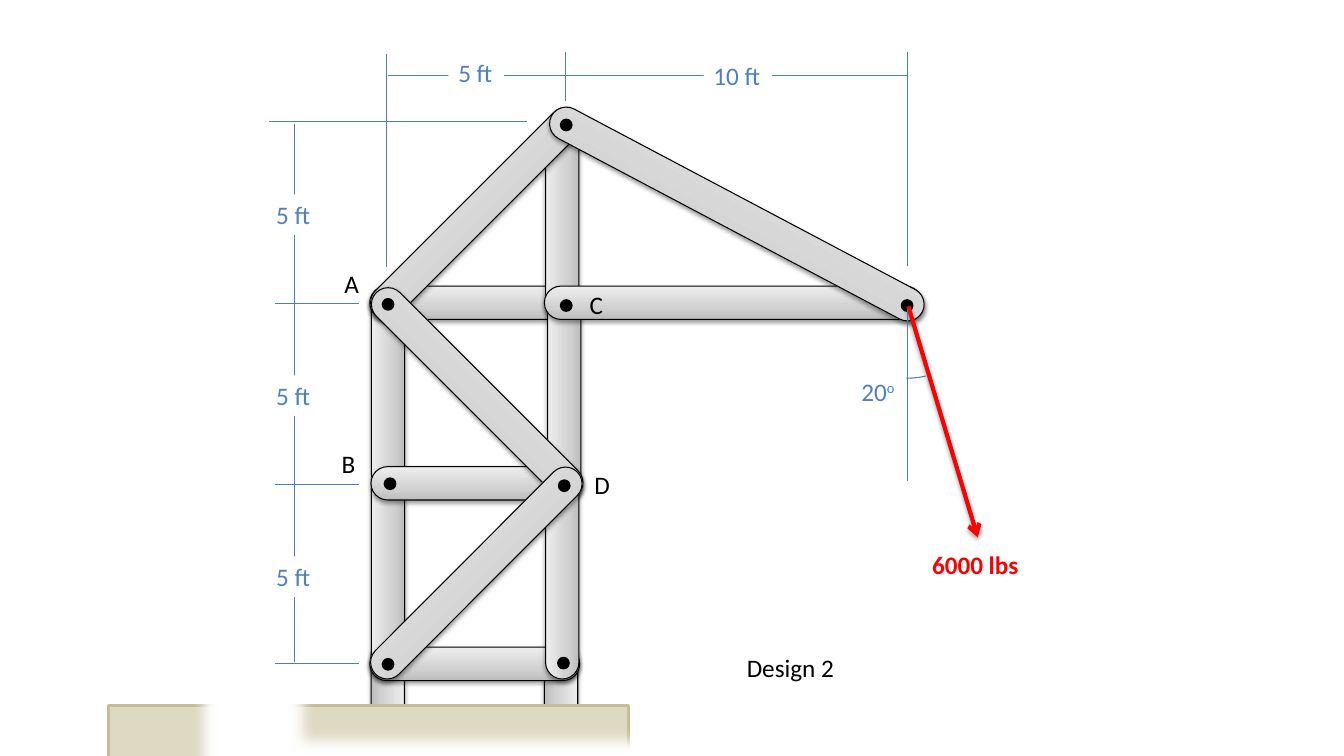
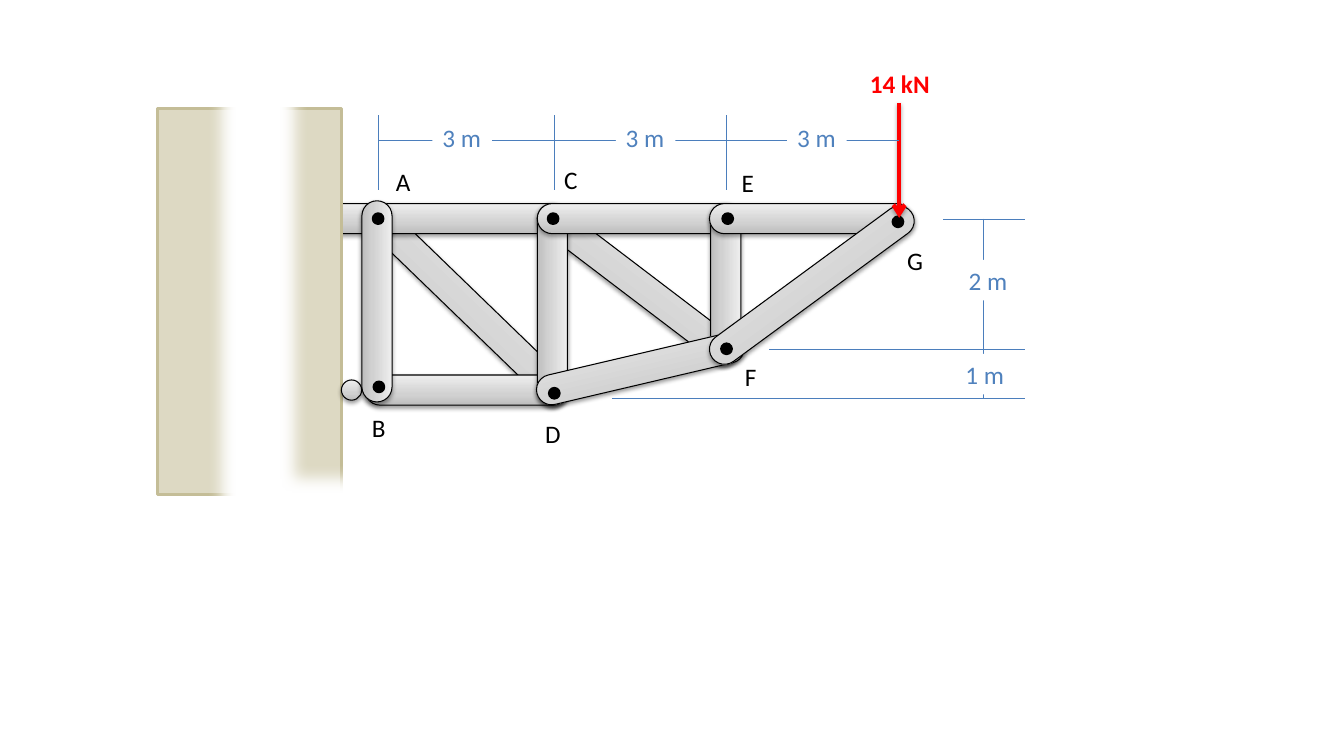
from math import atan2, degrees, hypot

from lxml.etree import SubElement as Sub
from pptx import Presentation
from pptx.dml.color import RGBColor as Rgb
from pptx.enum.shapes import MSO_CONNECTOR as Link, MSO_SHAPE as Kind
from pptx.enum.text import MSO_AUTO_SIZE as Fit
from pptx.oxml.ns import qn
from pptx.util import Cm, Pt

# Shared look
COLORS = {
    "ink": "000000", "paper": "FFFFFF", "force": "FF0000",
    "dim": "4B7EBC", "note": "4F81BD", "soil": "DDD9C3", "edge": "C4BD97",
}
STEEL = ((0, "BDBDBD"), (35, "D1D1D1"), (100, "EEEEEE"))
FONT = "Calibri"
PIN = 0.25
ROW = 1.02  # height of a one-line label


def rgb(name):
    return Rgb.from_string(COLORS[name])


def add_glow(effects, alpha, dist):
    """Soft black shadow straight below."""
    shade = Sub(effects, qn("a:outerShdw"), blurRad="40000", dist=str(dist),
                dir="5400000", rotWithShape="0")
    tint = Sub(shade, qn("a:srgbClr"), val=COLORS["ink"])
    Sub(tint, qn("a:alpha"), val=str(alpha * 1000))


def add_form(slide, kind, box, fill, line, width):
    form = slide.shapes.add_shape(kind, *map(Cm, box))
    form.shadow.inherit = False
    if fill:
        form.fill.solid()
        form.fill.fore_color.rgb = rgb(fill)
    else:
        form.fill.background()
    form.line.color.rgb = rgb(line)
    form.line.width = Pt(width)
    return form


def add_bar(slide, x1, y1, x2, y2, thick):
    """Round-ended steel bar between the centres of its two ends."""
    size = hypot(x2 - x1, y2 - y1) + thick
    box = ((x1 + x2 - size) / 2, (y1 + y2 - thick) / 2, size, thick)
    bar = add_form(slide, Kind.ROUNDED_RECTANGLE, box, None, "ink", 0.75)
    bar.adjustments[0] = 0.5
    bar.rotation = degrees(atan2(y2 - y1, x2 - x1)) % 360
    bar.fill.gradient()
    bar.fill.gradient_angle = 90
    props = bar._element.spPr
    stops = props.find(".//" + qn("a:gsLst"))
    stops.clear()
    for pos, color in STEEL:
        stop = Sub(stops, qn("a:gs"), pos=str(pos * 1000))
        Sub(stop, qn("a:srgbClr"), val=color)
    add_glow(props.find(qn("a:effectLst")), 38, 20000)


def add_bars(slide, bars, thick):
    for ends in bars:
        add_bar(slide, *ends, thick)


def add_pins(slide, pins):
    for x, y in pins:
        box = (x - PIN / 2, y - PIN / 2, PIN, PIN)
        add_form(slide, Kind.OVAL, box, "ink", "ink", 2)


def add_base(slide, box):
    add_form(slide, Kind.RECTANGLE, box, "soil", "edge", 2)


def add_fade(slide, box):
    """White frame with soft edges that breaks off the support."""
    fade = add_form(slide, Kind.FRAME, box, "paper", "paper", 2)
    fade.adjustments[0] = 0.137
    effects = fade._element.spPr.find(qn("a:effectLst"))
    Sub(effects, qn("a:softEdge"), rad="127000")


def add_line(slide, ends, color="dim", width=0.75):
    line = slide.shapes.add_connector(Link.STRAIGHT, *map(Cm, ends))
    line.line.color.rgb = rgb(color)
    line.line.width = Pt(width)
    return line, Sub(line._element.spPr, qn("a:effectLst"))


def add_lines(slide, lines):
    for ends in lines:
        add_line(slide, ends)


def add_force(slide, ends):
    line, effects = add_line(slide, ends, "force", 3)
    Sub(line.line._get_or_add_ln(), qn("a:tailEnd"), type="arrow")
    add_glow(effects, 35, 23000)


def add_label(slide, text, x, y, width=0.88, color="ink", bold=False,
              mask=False, power=""):
    box = slide.shapes.add_textbox(Cm(x), Cm(y), Cm(width), Cm(ROW))
    frame = box.text_frame
    frame.word_wrap = False
    frame.auto_size = Fit.SHAPE_TO_FIT_TEXT
    frame.text = text
    para = frame.paragraphs[0]
    if power:
        run = para.add_run()
        run.text = power
        run._r.get_or_add_rPr().set("baseline", "30000")
    for run in para.runs:
        font = run.font
        font.name, font.size, font.bold = FONT, Pt(18), bold
        font.color.rgb = rgb(color)
    if mask:
        box.fill.solid()
        box.fill.fore_color.rgb = rgb("paper")


def add_joints(slide, joints):
    for name, x, y in joints:
        add_label(slide, name, x, y)


def add_dims(slide, dims):
    for text, x, y, width in dims:
        add_label(slide, text, x, y, width, "note", mask=True)


def draw_crane(slide):
    # Posts, tower and jib, back to front
    add_bars(slide, (
        (14.14, 16.52, 14.14, 18.4), (9.77, 16.52, 9.77, 18.4),
        (9.78, 11.94, 9.78, 7.7), (9.78, 16.56, 9.78, 12.32),
        (9.74, 7.63, 14.19, 7.63), (14.17, 7.62, 14.17, 3.38),
        (9.76, 7.62, 14.25, 3.13), (9.77, 12.18, 14.21, 12.18),
        (14.22, 12.17, 14.22, 7.92), (9.78, 7.67, 14.27, 12.16),
        (9.74, 16.73, 14.19, 16.73), (14.17, 16.69, 14.17, 12.45),
        (9.76, 16.69, 14.25, 12.19), (14.14, 7.63, 22.82, 7.63),
        (14.27, 3.12, 22.87, 7.67),
    ), 0.84)
    add_pins(slide, (
        (14.27, 7.7), (14.27, 3.15), (14.2, 16.71), (9.78, 16.74),
        (9.83, 12.19), (9.78, 7.67), (22.86, 7.7), (14.22, 12.24),
    ))
    # Ground
    add_base(slide, (2.74, 17.78, 13.11, 2.57))
    add_fade(slide, (4.88, -0.43, 25.2, 21.79))
    # Load and its angle
    add_label(slide, "6000 lbs", 23.24, 13.72, 2.72, "force", bold=True)
    add_force(slide, (22.89, 7.72, 24.64, 13.54))
    add_line(slide, (22.86, 7.82, 22.86, 12.12))
    arc = add_form(slide, Kind.ARC, (20.98, 5.72, 3.81, 3.81), None, "dim", 0.75)
    arc.adjustments[0], arc.adjustments[1] = 45.86, 54.7
    add_label(slide, "20", 21.46, 9.35, 1.4, "note", power="o")
    # Names
    add_joints(slide, (("A", 8.43, 6.63), ("B", 8.36, 11.18),
                       ("C", 14.61, 7.16), ("D", 14.73, 11.71)))
    add_label(slide, "Design 2", 18.57, 16.31, 2.74)
    # Dimensions
    add_lines(slide, (
        (9.73, 1.35, 9.73, 6.73), (22.86, 1.9, 9.78, 1.9),
        (22.86, 6.71, 22.86, 1.32), (14.25, 2.54, 14.25, 1.32),
        (13.28, 3.05, 6.78, 3.05), (7.42, 16.69, 7.42, 3.12),
    ))
    add_lines(slide, [(6.94, y, 9.05, y) for y in (7.65, 12.22, 16.71)])
    add_dims(slide, (("5 ft", 11.3, 1.32, 1.4), ("10 ft", 17.73, 1.4, 1.73)))
    add_dims(slide, [("5 ft", 6.71, 4.9 + 4.56 * i, 1.4) for i in range(3)])


def draw_arm(slide):
    top = 5.51
    # Members that run behind, wall and roller
    add_bars(slide, (
        (13.91, 5.52, 18.22, 8.8), (9.63, 5.61, 13.94, 9.78),
        (5.03, top, 9.63, top),
    ), 0.76)
    add_base(slide, (3.96, 2.74, 4.65, 9.73))
    add_bar(slide, 8.86, 9.83, 8.86, 9.83, 0.51)
    add_fade(slide, (5.28, -3.61, 25.6, 17.78))
    # Members in front
    add_bars(slide, (
        (9.53, top, 13.84, top), (9.58, 9.83, 13.89, 9.83),
        (9.5, 5.44, 9.5, 9.75), (13.92, top, 13.92, 9.83),
        (13.92, top, 18.24, top), (18.29, top, 18.29, 8.56),
        (18.26, top, 22.58, top), (13.9, 9.82, 18.38, 8.77),
        (18.26, 8.8, 22.66, 5.57),
    ), 0.76)
    add_pins(slide, (
        (9.53, top), (13.94, top), (18.34, top), (22.63, 5.59),
        (9.55, 9.75), (13.97, 9.91), (18.31, 8.79),
    ))
    add_joints(slide, (
        ("A", 9.73, 4.06), ("B", 9.12, 10.26), ("C", 13.97, 4.01),
        ("D", 13.49, 10.41), ("E", 18.44, 4.09), ("F", 18.52, 8.99),
        ("G", 22.61, 6.05),
    ))
    # Load
    add_force(slide, (22.66, 2.59, 22.66, 5.49))
    add_label(slide, "14 kN", 21.67, 1.6, 2.03, "force", bold=True)
    # Dimensions
    add_lines(slide, [(x, 4.78, x, 2.9) for x in (9.53, 13.97, 18.31)])
    add_lines(slide, [(x, y, 25.83, y) for x, y in
                      ((23.77, 5.54), (19.38, 8.81), (15.42, 10.03))])
    add_lines(slide, ((22.66, 3.53, 9.53, 3.53), (24.79, 5.51, 24.79, 10.03)))
    add_dims(slide, [("3 m", x, 2.95, 1.5) for x in (10.9, 15.52, 19.84)])
    add_dims(slide, (("2 m", 24.16, 6.55, 1.5), ("1 m", 24.08, 8.92, 1.5)))


def main():
    deck = Presentation()
    deck.slide_width, deck.slide_height = Cm(33.87), Cm(19.05)
    for draw in (draw_crane, draw_arm):
        draw(deck.slides.add_slide(deck.slide_layouts[6]))
    deck.save("out.pptx")


if __name__ == "__main__":
    main()
